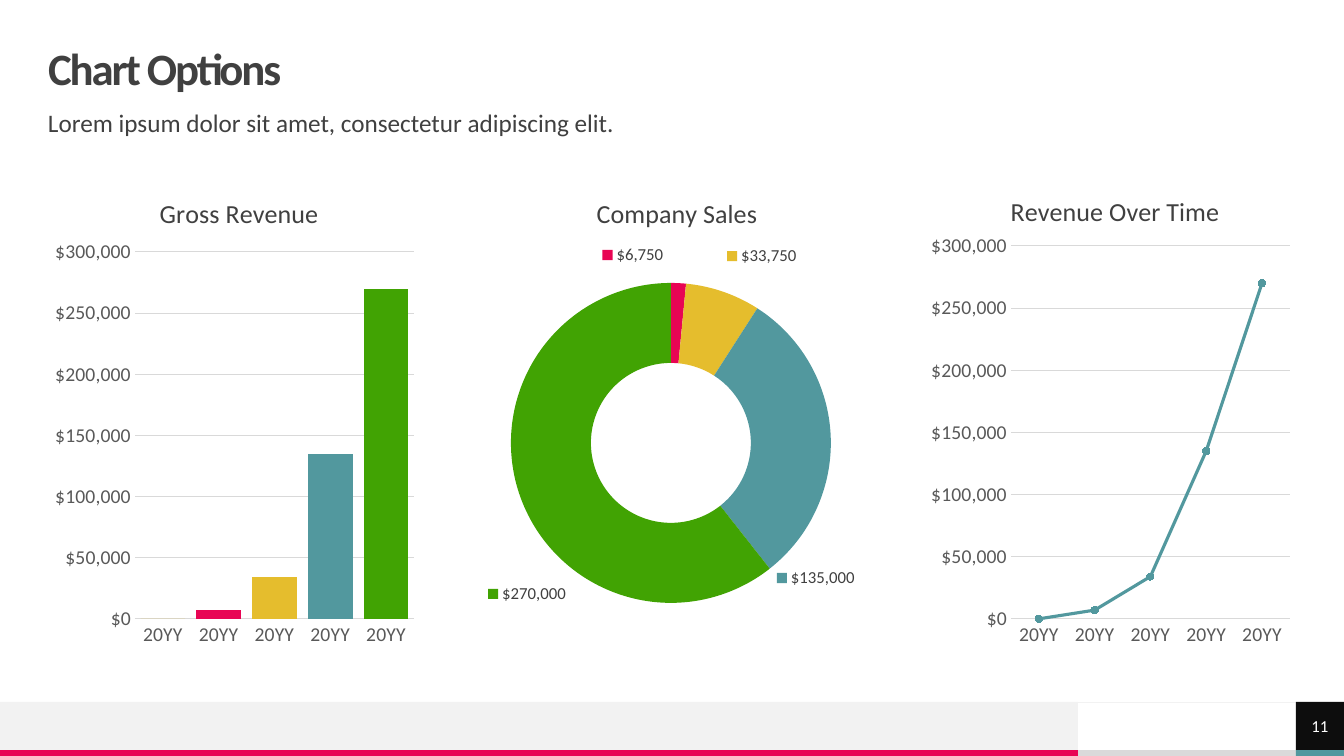
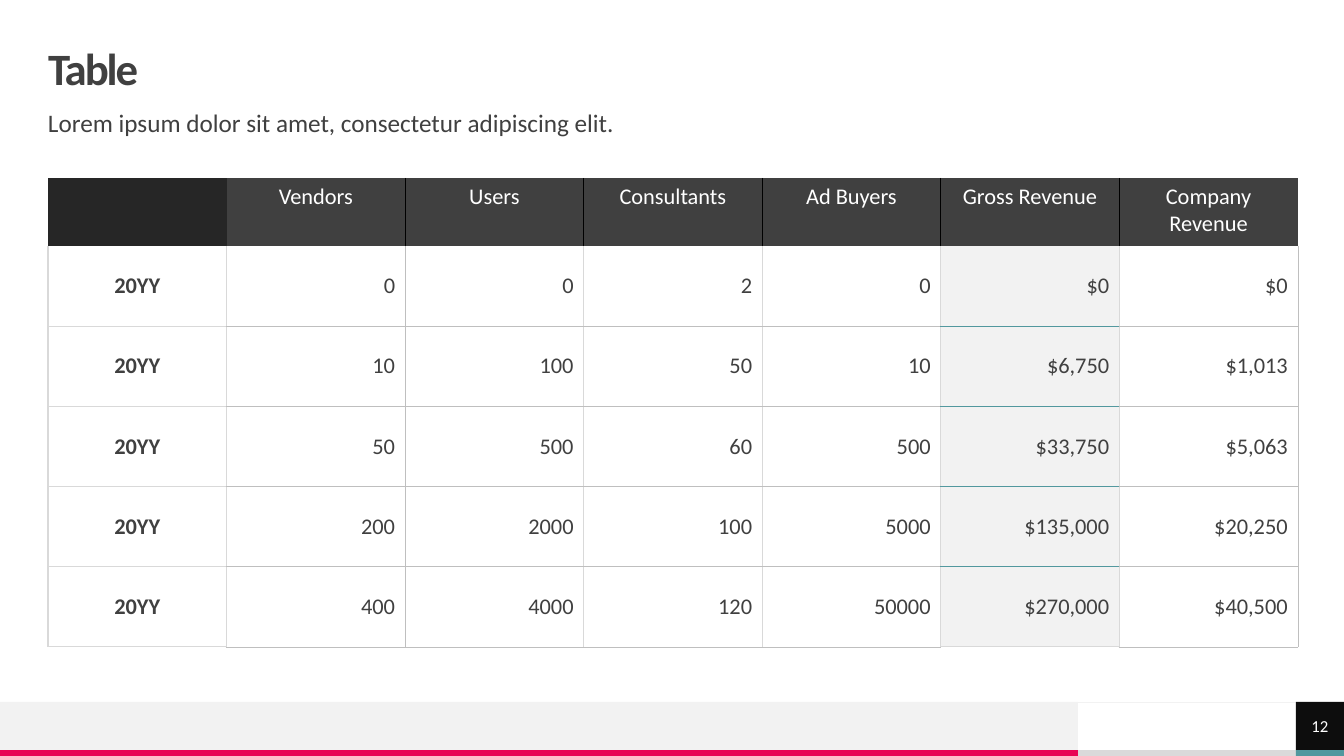
import math
from dataclasses import dataclass
from typing import Any, NamedTuple

import pptx
import pptx.chart.data
import pptx.dml.color
import pptx.enum.chart
import pptx.enum.shapes
import pptx.enum.text
import pptx.oxml
import pptx.oxml.ns
import pptx.util

ChartType = pptx.enum.chart.XL_CHART_TYPE
Align = pptx.enum.text.PP_ALIGN
Anchor = pptx.enum.text.MSO_ANCHOR
EMU_PER_PX = 12192000 / 1344


@dataclass(frozen=True)
class Theme:
    font: str = "Calibri"
    ink: str = "404040"
    axis_ink: str = "595959"
    white: str = "FFFFFF"
    black: str = "000000"
    corner: str = "262626"
    number_fill: str = "0D0D0D"
    pale: str = "F2F2F2"
    footer_grey: str = "DADADA"
    rule: str = "D9D9D9"
    hairline: str = "BFBFBF"
    pink: str = "E80554"
    teal: str = "52989E"
    gold: str = "E5BD2D"
    green: str = "41A303"
    title_size: float = 32
    subtitle_size: float = 18
    chart_title_size: float = 18.62
    table_size: float = 16
    axis_size: float = 14
    small_size: float = 12
    currency: str = "[$$-409]#,##0"


THEME = Theme()
POINT_COLORS = [THEME.gold, THEME.pink, THEME.gold, THEME.teal, THEME.green]


class Rect(NamedTuple):
    left: int
    top: int
    width: int
    height: int


class Band(NamedTuple):
    rect: Rect
    color: str


class Border(NamedTuple):
    color: str
    points: float


class Spot(NamedTuple):
    x: int
    y: int


@dataclass(frozen=True)
class ChartSpec:
    title: str
    kind: Any
    frame: Rect
    title_at: Spot
    plot: Rect
    categories: list[str]
    values: list[int]


FOOTER = [
    Band(Rect(1078, 750, 218, 6), THEME.footer_grey),
    Band(Rect(0, 702, 1078, 48), THEME.pale),
    Band(Rect(0, 750, 1078, 6), THEME.pink),
    Band(Rect(1296, 750, 48, 6), THEME.teal),
]
YEARS = ["20YY"] * 5
REVENUE = [0, 7000, 34000, 135000, 270000]
CHARTS = [
    ChartSpec("Gross Revenue", ChartType.COLUMN_CLUSTERED, Rect(47, 166, 374, 490),
              Spot(155, 190), Rect(135, 252, 279, 367), YEARS, REVENUE),
    ChartSpec("Company Sales", ChartType.DOUGHNUT, Rect(486, 166, 374, 490),
              Spot(592, 190), Rect(511, 283, 320, 320), list("12345"),
              [0, 6750, 33750, 135000, 270000]),
    ChartSpec("Revenue Over Time", ChartType.LINE_MARKERS_STACKED, Rect(924, 166, 374, 490),
              Spot(1006, 188), Rect(1011, 246, 279, 373), YEARS, REVENUE),
]
LABEL_SPOTS = {1: Spot(633, 255), 2: Spot(762, 256), 3: Spot(816, 578), 4: Spot(527, 594)}
TABLE_ROWS = [
    ["", "Vendors", "Users", "Consultants", "Ad Buyers", "Gross Revenue", "Company Revenue"],
    ["20YY", "0", "0", "2", "0", "$0", "$0"],
    ["20YY", "10", "100", "50", "10", "$6,750", "$1,013"],
    ["20YY", "50", "500", "60", "500", "$33,750", "$5,063"],
    ["20YY", "200", "2000", "100", "5000", "$135,000", "$20,250"],
    ["20YY", "400", "4000", "120", "50000", "$270,000", "$40,500"],
]
REVENUE_COLUMN = 5


def px(length: float) -> int:
    return round(length * EMU_PER_PX)


def emu(rect: Rect) -> list[int]:
    return [px(length) for length in rect]


def rgb(color: str) -> pptx.dml.color.RGBColor:
    return pptx.dml.color.RGBColor.from_string(color)


def apply(target: Any, values: dict[str, Any]) -> None:
    for name, value in values.items():
        setattr(target, name, value)


def fill(target: Any, color: str) -> None:
    target.fill.solid()
    target.fill.fore_color.rgb = rgb(color)


def stroke(line: Any, color: str, points: float) -> None:
    line.color.rgb = rgb(color)
    line.width = pptx.util.Pt(points)


def style_font(font: Any, size: float, color: str, bold: bool = False) -> None:
    apply(font, {"name": THEME.font, "size": pptx.util.Pt(size), "bold": bold})
    font.color.rgb = rgb(color)


def write(frame: Any, text: str, size: float, color: str, bold: bool = False,
          **para_format: Any) -> Any:
    para = frame.paragraphs[0]
    apply(para, para_format)
    span = para.add_run()
    span.text = text
    style_font(span.font, size, color, bold)
    return span


def add_band(page: Any, band: Band) -> Any:
    box = page.shapes.add_shape(pptx.enum.shapes.MSO_SHAPE.RECTANGLE, *emu(band.rect))
    box.shadow.inherit = False
    fill(box, band.color)
    box.line.fill.background()
    return box


def frame_format(anchor: Any) -> dict[str, Any]:
    margins = {f"margin_{side}": 0 for side in ("left", "top", "right", "bottom")}
    return {**margins, "word_wrap": True, "vertical_anchor": anchor}


def add_text(page: Any, rect: Rect, text: str, size: float, anchor: Any,
             bold: bool = False) -> Any:
    frame = page.shapes.add_textbox(*emu(rect)).text_frame
    apply(frame, frame_format(anchor))
    return write(frame, text, size, THEME.ink, bold, line_spacing=0.9)


def add_page(deck: Any, title: str, number: int) -> Any:
    page = deck.slides.add_slide(deck.slide_layouts[6])
    for band in FOOTER:
        add_band(page, band)
    edge = page.shapes.add_connector(
        pptx.enum.shapes.MSO_CONNECTOR.STRAIGHT, px(1344), px(702), 0, px(702))
    stroke(edge.line, THEME.pale, 0.5)
    edge._element.spPr.append(
        pptx.oxml.parse_xml(f"<a:effectLst {pptx.oxml.ns.nsdecls('a')}/>"))
    span = add_text(page, Rect(48, 47, 1249, 48), title, THEME.title_size, Anchor.MIDDLE, True)
    span.font._element.set("spc", "-150")
    add_text(page, Rect(48, 111, 1250, 39), "Lorem ipsum dolor sit amet, consectetur adipiscing elit.",
             THEME.subtitle_size, Anchor.TOP)
    badge = add_band(page, Band(Rect(1296, 702, 48, 48), THEME.number_fill))
    apply(badge.text_frame, frame_format(Anchor.MIDDLE))
    write(badge.text_frame, str(number), THEME.small_size, THEME.white, alignment=Align.CENTER)
    return page


def layout_xml(parts: dict[str, float], edge: bool = True, inner: bool = False) -> str:
    target = '<c:layoutTarget val="inner"/>' if inner else ""
    modes = '<c:xMode val="edge"/><c:yMode val="edge"/>' if edge else ""
    values = "".join(f'<c:{name} val="{value:.4f}"/>' for name, value in parts.items())
    return (f"<c:layout {pptx.oxml.ns.nsdecls('c')}><c:manualLayout>"
            f"{target}{modes}{values}</c:manualLayout></c:layout>")


def place(parent: Any, index: int, xml: str) -> None:
    for old in parent.findall(pptx.oxml.ns.qn("c:layout")):
        parent.remove(old)
    parent.insert(index, pptx.oxml.parse_xml(xml))


def place_parts(chart: Any, spec: ChartSpec) -> None:
    frame, plot = spec.frame, spec.plot
    place(chart._chartSpace.chart.plotArea, 0, layout_xml({
        "x": (plot.left - frame.left) / frame.width, "y": (plot.top - frame.top) / frame.height,
        "w": plot.width / frame.width, "h": plot.height / frame.height}, inner=True))
    place(chart.chart_title._element, 1, layout_xml({
        "x": (spec.title_at.x - frame.left) / frame.width,
        "y": (spec.title_at.y - frame.top) / frame.height}))


def style_axes(chart: Any) -> None:
    no_tick = pptx.enum.chart.XL_TICK_MARK.NONE
    for axis in (chart.category_axis, chart.value_axis):
        apply(axis, {"major_tick_mark": no_tick, "minor_tick_mark": no_tick})
        style_font(axis.tick_labels.font, THEME.axis_size, THEME.axis_ink)
    stroke(chart.category_axis.format.line, THEME.rule, 0.75)
    scale = chart.value_axis
    apply(scale, {"minimum_scale": 0, "maximum_scale": 300000, "major_unit": 50000,
                  "has_major_gridlines": True})
    apply(scale.tick_labels, {"number_format": THEME.currency, "number_format_is_linked": False})
    stroke(scale.major_gridlines.format.line, THEME.rule, 0.75)
    scale.format.line.fill.background()


def color_points(series: Any) -> None:
    for index, color in enumerate(POINT_COLORS):
        point = series.points[index].format
        fill(point, color)
        point.line.fill.background()


def label_ring(series: Any, spec: ChartSpec) -> None:
    center_x = spec.plot.left + spec.plot.width / 2
    center_y = spec.plot.top + spec.plot.height / 2
    middle_radius = spec.plot.width * 3 / 8
    look = (f'<c:numFmt formatCode="{THEME.currency}" sourceLinked="0"/>'
            '<c:spPr><a:noFill/><a:ln><a:noFill/></a:ln></c:spPr>'
            f'<c:txPr><a:bodyPr/><a:p><a:pPr><a:defRPr sz="{THEME.small_size * 100}" b="0">'
            f'<a:solidFill><a:srgbClr val="{THEME.ink}"/></a:solidFill>'
            f'<a:latin typeface="{THEME.font}"/></a:defRPr></a:pPr>'
            '<a:endParaRPr lang="en-US"/></a:p></c:txPr>'
            '<c:showLegendKey val="1"/><c:showVal val="1"/><c:showCatName val="0"/>'
            '<c:showSerName val="0"/><c:showPercent val="0"/><c:showBubbleSize val="0"/>')
    labels = '<c:dLbl><c:idx val="0"/><c:delete val="1"/></c:dLbl>'
    for index, spot in LABEL_SPOTS.items():
        before = sum(spec.values[:index]) + spec.values[index] / 2
        angle = 2 * math.pi * before / sum(spec.values)
        shift = layout_xml({
            "x": (spot.x - center_x - middle_radius * math.sin(angle)) / spec.frame.width,
            "y": (spot.y - center_y + middle_radius * math.cos(angle)) / spec.frame.height,
        }, edge=False)
        labels += f'<c:dLbl><c:idx val="{index}"/>{shift}{look}</c:dLbl>'
    series._element.find(pptx.oxml.ns.qn("c:cat")).addprevious(pptx.oxml.parse_xml(
        f"<c:dLbls {pptx.oxml.ns.nsdecls('c', 'a')}>{labels}{look}"
        '<c:showLeaderLines val="0"/></c:dLbls>'))


def add_chart(page: Any, spec: ChartSpec) -> None:
    data = pptx.chart.data.CategoryChartData()
    data.categories = spec.categories
    data.add_series("Series 1", spec.values)
    chart = page.shapes.add_chart(spec.kind, *emu(spec.frame), data).chart
    apply(chart, {"has_legend": False, "has_title": True})
    style_font(chart.font, 10, THEME.black)
    write(chart.chart_title.text_frame, spec.title, THEME.chart_title_size, THEME.ink)
    place_parts(chart, spec)
    plot, series = chart.plots[0], chart.plots[0].series[0]
    plot.vary_by_categories = spec.kind == ChartType.DOUGHNUT
    if spec.kind == ChartType.DOUGHNUT:
        color_points(series)
        label_ring(series, spec)
        return
    style_axes(chart)
    if spec.kind == ChartType.COLUMN_CLUSTERED:
        plot.gap_width = 25
        color_points(series)
        return
    series.smooth = False
    stroke(series.format.line, THEME.teal, 2.25)
    apply(series.marker, {"style": pptx.enum.chart.XL_MARKER_STYLE.CIRCLE, "size": 5})
    fill(series.marker.format, THEME.teal)
    stroke(series.marker.format.line, THEME.teal, 0.75)


def upright(row: int, edge: int) -> Border | None:
    if row == 0:
        return Border(THEME.black, 1) if 2 <= edge <= 6 else None
    return Border(THEME.hairline, 0.25) if edge in (2, 7) else Border(THEME.rule, 1)


def level(edge: int, column: int) -> Border | None:
    if edge < 2:
        return None
    if column == REVENUE_COLUMN and edge < len(TABLE_ROWS):
        return Border(THEME.teal, 1)
    return Border(THEME.rule, 1) if column in (0, REVENUE_COLUMN) else Border(THEME.hairline, 0.25)


def set_borders(cell: Any, borders: dict[str, Border | None]) -> None:
    for index, (side, border) in enumerate(borders.items()):
        paint, width = "<a:noFill/>", 0
        if border:
            paint = f'<a:solidFill><a:srgbClr val="{border.color}"/></a:solidFill>'
            width = pptx.util.Pt(border.points)
        cell._tc.get_or_add_tcPr().insert(index, pptx.oxml.parse_xml(
            f'<a:ln{side} {pptx.oxml.ns.nsdecls("a")} w="{int(width)}">{paint}</a:ln{side}>'))


def cell_fill(row: int, column: int) -> str:
    if row == 0:
        return THEME.ink if column else THEME.corner
    return THEME.pale if column == REVENUE_COLUMN else THEME.white


def add_table(page: Any) -> None:
    shape = page.shapes.add_table(len(TABLE_ROWS), len(TABLE_ROWS[0]), *emu(Rect(48, 178, 1250, 469)))
    table = shape.table
    apply(table, {"first_row": False, "horz_banding": False})
    for column in table.columns:
        column.width = px(1250 / 7)
    for index, row in enumerate(table.rows):
        row.height = px(401 / 5 if index else 68)
    for row, texts in enumerate(TABLE_ROWS):
        for column, text in enumerate(texts):
            cell = table.cell(row, column)
            fill(cell, cell_fill(row, column))
            cell.vertical_anchor = Anchor.MIDDLE if row else Anchor.TOP
            set_borders(cell, {"L": upright(row, column), "R": upright(row, column + 1),
                               "T": level(row, column), "B": level(row + 1, column)})
            if text:
                write(cell.text_frame, text, THEME.table_size, THEME.ink if row else THEME.white,
                      bool(row) and column == 0,
                      alignment=Align.RIGHT if row and column else Align.CENTER)


def main() -> None:
    deck = pptx.Presentation()
    apply(deck, {"slide_width": px(1344), "slide_height": px(756)})
    chart_page = add_page(deck, "Chart Options", 11)
    for spec in CHARTS:
        add_chart(chart_page, spec)
    add_table(add_page(deck, "Table", 12))
    deck.save("out.pptx")


if __name__ == "__main__":
    main()
